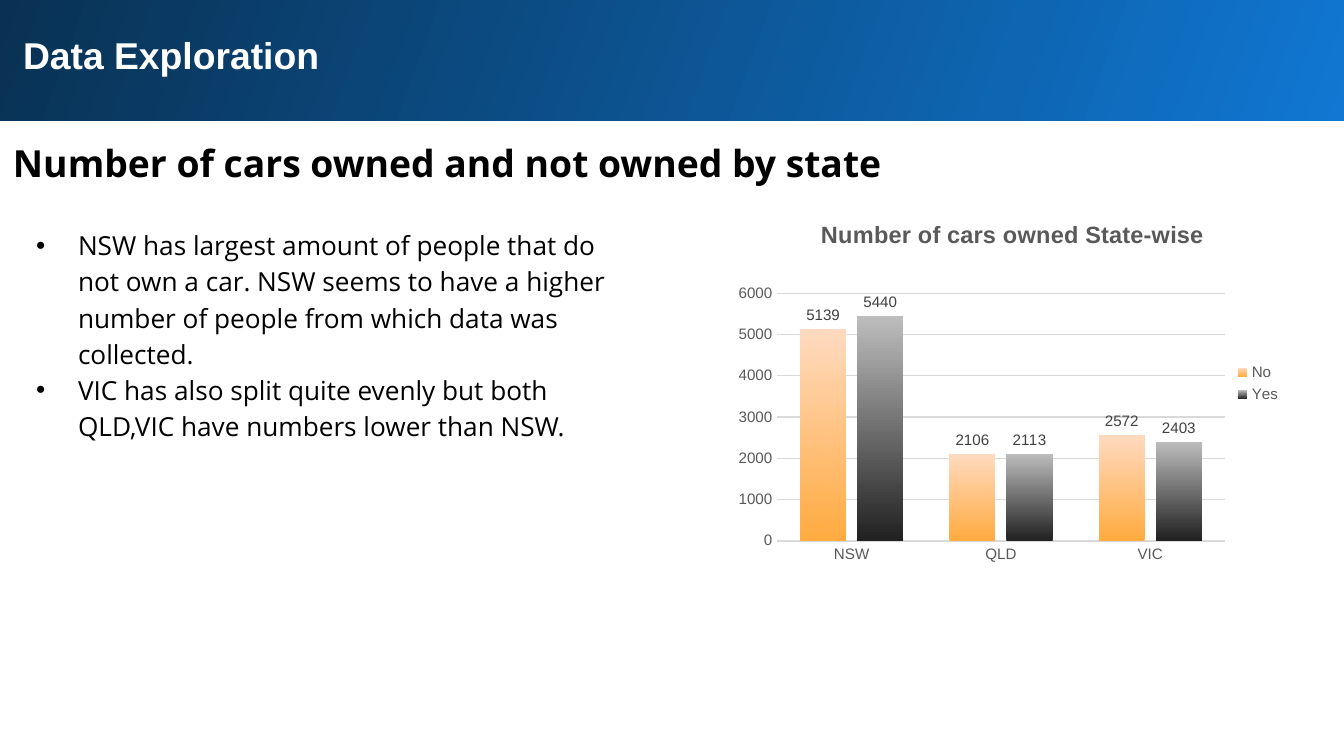
from lxml.etree import SubElement
from pptx import Presentation
from pptx.chart.data import CategoryChartData
from pptx.dml.color import RGBColor
from pptx.enum.chart import XL_CHART_TYPE, XL_LABEL_POSITION, XL_LEGEND_POSITION, XL_TICK_MARK
from pptx.enum.shapes import MSO_SHAPE
from pptx.enum.text import MSO_ANCHOR, MSO_AUTO_SIZE, PP_ALIGN
from pptx.oxml import parse_xml
from pptx.oxml.ns import nsdecls, qn
from pptx.util import Emu, Pt

EMU_PER_PX = 7557
STATES = ["NSW", "QLD", "VIC"]
OWNERSHIP = [
    ("No", [5139, 2106, 2572], "FFAB40", "FFDAC0"),
    ("Yes", [5440, 2113, 2403], "212121", "BDBDBD"),
]
FINDINGS = [
    "NSW has largest amount of people that do not own a car. NSW seems to have "
    "a higher number of people from which data was collected.",
    "VIC has also split quite evenly but both QLD,VIC have numbers lower than NSW.",
]


def px(length):
    """Turn pixels into EMU."""
    return Emu(length * EMU_PER_PX)


def color(value):
    """Turn a hex string into a colour."""
    return RGBColor.from_string(value)


def style_font(font, size, shade, name="Arial", bold=False):
    """Set size, colour, typeface and weight of a font."""
    font.size, font.name, font.bold = Pt(size), name, bold
    font.color.rgb = color(shade)


def fill_gradient(fill, start, end, angle):
    """Fill with a two-colour gradient at a counter-clockwise angle."""
    fill.gradient()
    fill.gradient_angle = angle
    for stop, shade, position in zip(fill.gradient_stops, (start, end), (0, 1)):
        stop.color.rgb = color(shade)
        stop.position = position


def add_banner(slide, title):
    """Place the gradient banner behind the title."""
    banner = slide.shapes.add_shape(MSO_SHAPE.RECTANGLE, px(-2), px(-2), px(1351), px(123))
    banner.shadow.inherit = False
    banner.line.fill.background()
    fill_gradient(banner.fill, "1077D2", "093153", 160)
    title.element.addprevious(banner.element)


def write_text(shape, texts, size, shade, name, bold=False, spacing=1.0, bulleted=False):
    """Write one paragraph per text, bulleted on request."""
    frame = shape.text_frame
    frame.word_wrap = True
    frame.auto_size = MSO_AUTO_SIZE.SHAPE_TO_FIT_TEXT
    frame.vertical_anchor = MSO_ANCHOR.TOP
    frame.margin_left = frame.margin_right = px(13)
    frame.margin_top = frame.margin_bottom = px(13)
    for index, text in enumerate(texts):
        paragraph = frame.add_paragraph() if index else frame.paragraphs[0]
        paragraph.alignment = PP_ALIGN.LEFT
        paragraph.line_spacing = spacing
        run = paragraph.add_run()
        run.text = text
        style_font(run.font, size, shade, name, bold)
        if bulleted:
            properties = paragraph._p.get_or_add_pPr()
            properties.set("marL", str(px(42)))
            properties.set("indent", str(px(-42)))
            SubElement(properties, qn("a:buFont")).set("typeface", "Arial")
            SubElement(properties, qn("a:buChar")).set("char", "•")


def set_layout(parent, index, inner=False, **fractions):
    """Fix the place of a chart part in fractions of the chart."""
    for automatic in parent.findall(qn("c:layout")):
        parent.remove(automatic)
    layout = parse_xml(f"<c:layout {nsdecls('c')}><c:manualLayout/></c:layout>")
    manual = layout[0]
    if inner:
        SubElement(manual, qn("c:layoutTarget")).set("val", "inner")
    for mode in ("xMode", "yMode"):
        SubElement(manual, qn(f"c:{mode}")).set("val", "edge")
    for key, fraction in fractions.items():
        SubElement(manual, qn(f"c:{key}")).set("val", str(fraction))
    parent.insert(index, layout)


def style_axes(chart):
    """Format the state axis, the count axis and its grid."""
    states, counts = chart.category_axis, chart.value_axis
    for axis in (states, counts):
        axis.major_tick_mark = axis.minor_tick_mark = XL_TICK_MARK.NONE
        style_font(axis.tick_labels.font, 9, "595959")
    states.format.line.color.rgb = color("D9D9D9")
    states.format.line.width = Pt(1)
    counts.format.line.fill.background()
    counts.minimum_scale, counts.maximum_scale, counts.major_unit = 0, 6000, 1000
    grid = counts.major_gridlines.format.line
    grid.color.rgb = color("D9D9D9")
    grid.width = Pt(0.75)


def style_columns(plot):
    """Give each series its gradient and value labels."""
    plot.gap_width, plot.overlap, plot.vary_by_categories = 100, -24, False
    for series, (_, _, bottom, top) in zip(plot.series, OWNERSHIP):
        fill_gradient(series.format.fill, bottom, top, 90)
        series.format.line.fill.background()
        labels = series.data_labels
        labels.show_value = True
        labels.position = XL_LABEL_POSITION.OUTSIDE_END
        style_font(labels.font, 9, "404040")


def add_ownership_chart(slide):
    """Add the column chart of car ownership by state."""
    data = CategoryChartData()
    data.categories = STATES
    for name, values, _, _ in OWNERSHIP:
        data.add_series(name, values)
    chart = slide.shapes.add_chart(
        XL_CHART_TYPE.COLUMN_CLUSTERED, px(726), px(196), px(567), px(375), data
    ).chart
    style_font(chart.font, 10, "000000")
    chart.has_title = True
    heading = chart.chart_title.text_frame.paragraphs[0].add_run()
    heading.text = "Number of cars owned State-wise"
    style_font(heading.font, 14, "595959", bold=True)
    set_layout(chart.chart_title.element, 1, x=0.16, y=0.05)
    plot_area = chart.element.xpath("c:chart/c:plotArea")[0]
    set_layout(plot_area, 0, inner=True, x=0.09, y=0.26, w=0.79, h=0.66)
    chart.has_legend = True
    chart.legend.position = XL_LEGEND_POSITION.RIGHT
    chart.legend.include_in_layout = False
    style_font(chart.legend.font, 9, "595959")
    style_axes(chart)
    style_columns(chart.plots[0])


def main():
    """Build and save the slide."""
    deck = Presentation()
    deck.slide_width, deck.slide_height = px(1344), px(756)
    slide = deck.slides.add_slide(deck.slide_layouts[5])
    title = slide.shapes.title
    title.left, title.top, title.width, title.height = px(10), px(19), px(1260), px(73)
    write_text(title, ["Data Exploration"], 22.2, "FFFFFF", "Arial", bold=True)
    add_banner(slide, title)
    subtitle = slide.shapes.add_textbox(px(0), px(120), px(1260), px(76))
    write_text(subtitle, ["Number of cars owned and not owned by state"],
               22.2, "000000", "Open Sans", bold=True, spacing=1.15)
    findings = slide.shapes.add_textbox(px(23), px(212), px(616), px(243))
    write_text(findings, FINDINGS, 15.6, "000000", "Open Sans", spacing=1.15, bulleted=True)
    add_ownership_chart(slide)
    deck.save("out.pptx")


if __name__ == "__main__":
    main()
